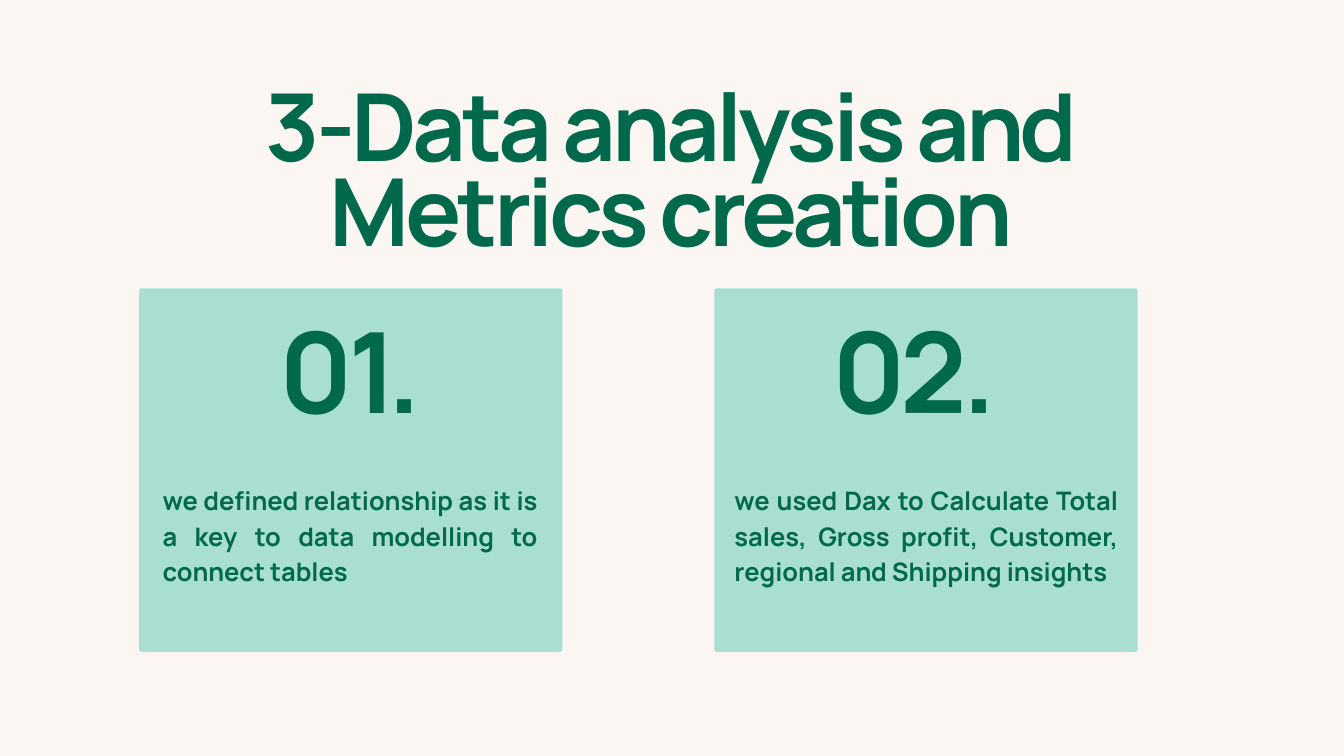
from dataclasses import dataclass

from pptx import Presentation
from pptx.dml.color import RGBColor
from pptx.enum.shapes import MSO_SHAPE
from pptx.enum.text import MSO_AUTO_SIZE, PP_ALIGN
from pptx.slide import Slide
from pptx.util import Inches, Pt

CREAM = RGBColor(0xFB, 0xF6, 0xF1)
MINT = RGBColor(0xA9, 0xDF, 0xD0)
GREEN = RGBColor(0x00, 0x69, 0x4C)

ROUNDED_RECTANGLE = MSO_SHAPE.ROUNDED_RECTANGLE
FIT_SHAPE = MSO_AUTO_SIZE.SHAPE_TO_FIT_TEXT
CENTER = PP_ALIGN.CENTER
JUSTIFY = PP_ALIGN.JUSTIFY

SLIDE_WIDTH = Inches(20)
SLIDE_HEIGHT = Inches(11.25)
COLUMN = SLIDE_WIDTH / 20
ROW = SLIDE_HEIGHT / 11.25

TITLE_LINES = ("3-Data analysis and", "Metrics creation")
CARDS = (
    {
        "left": 2.07, "number": "01.", "number_left": 3.89,
        "body_left": 2.42, "body_width": 5.58,
        "body": "we defined relationship as it is a key to data modelling to connect tables",
    },
    {
        "left": 10.63, "number": "02.", "number_left": 12.28,
        "body_left": 10.93, "body_width": 5.71,
        "body": "we used Dax to Calculate Total sales, Gross profit, Customer, "
                "regional and Shipping insights",
    },
)


def write_text(paragraph, text, *, font, color, size, line, align, tracking=0):
    """Write one bold run of text into a paragraph, with sizes in points."""
    paragraph.alignment = align
    paragraph.line_spacing = Pt(line)
    run = paragraph.add_run()
    run.text = text
    run.font.name = font
    run.font.size = Pt(size)
    run.font.bold = True
    run.font.color.rgb = color
    if tracking:
        run._r.get_or_add_rPr().set("spc", str(round(tracking * 100)))


def grid_box(left, top, width, height):
    """Turn columns and rows of the grid into slide lengths."""
    return (round(left * COLUMN), round(top * ROW),
            round(width * COLUMN), round(height * ROW))


@dataclass
class SlideBuilder:
    """Hold the style and the slide being built."""

    slide: Slide
    font: str = "Manrope"
    ink: RGBColor = GREEN
    panel_fill: RGBColor = MINT

    def background(self, color):
        """Fill the slide background."""
        fill = self.slide.background.fill
        fill.solid()
        fill.fore_color.rgb = color

    def panel(self, left, top, width, height, radius):
        """Add a borderless panel with rounded corners."""
        shape = self.slide.shapes.add_shape(
            ROUNDED_RECTANGLE, *grid_box(left, top, width, height))
        shape.adjustments[0] = radius / min(width, height)
        shape.shadow.inherit = False
        shape.fill.solid()
        shape.fill.fore_color.rgb = self.panel_fill
        shape.line.fill.background()

    def text(self, lines, left, top, width, height, **text_format):
        """Add a text box with one paragraph per line."""
        shape = self.slide.shapes.add_textbox(*grid_box(left, top, width, height))
        frame = shape.text_frame
        frame.word_wrap = True
        frame.auto_size = FIT_SHAPE
        frame.margin_left = frame.margin_right = 0
        frame.margin_top = frame.margin_bottom = 0
        for index, line_text in enumerate(lines):
            paragraph = frame.add_paragraph() if index else frame.paragraphs[0]
            write_text(paragraph, line_text, font=self.font, color=self.ink, **text_format)

    def card(self, left, number, number_left, body, body_left, body_width):
        """Add a numbered card with its explanation."""
        self.panel(left, 4.29, 6.3, 5.41, radius=0.04)
        self.text([number], number_left, 4.99, 2.65, 1.64,
                  size=120, line=108, align=CENTER, tracking=-5.5)
        self.text([body], body_left, 7.14, body_width, 1.58,
                  size=27.3, line=38.3, align=JUSTIFY)


def main():
    """Build and save the presentation."""
    presentation = Presentation()
    presentation.slide_width = SLIDE_WIDTH
    presentation.slide_height = SLIDE_HEIGHT
    builder = SlideBuilder(presentation.slides.add_slide(presentation.slide_layouts[6]))
    builder.background(CREAM)
    builder.text(TITLE_LINES, 2.42, 1.43, 15.15, 2.62,
                 size=100.4, line=90.4, align=CENTER, tracking=-4.6)
    for card in CARDS:
        builder.card(**card)
    presentation.save("out.pptx")


if __name__ == "__main__":
    main()
